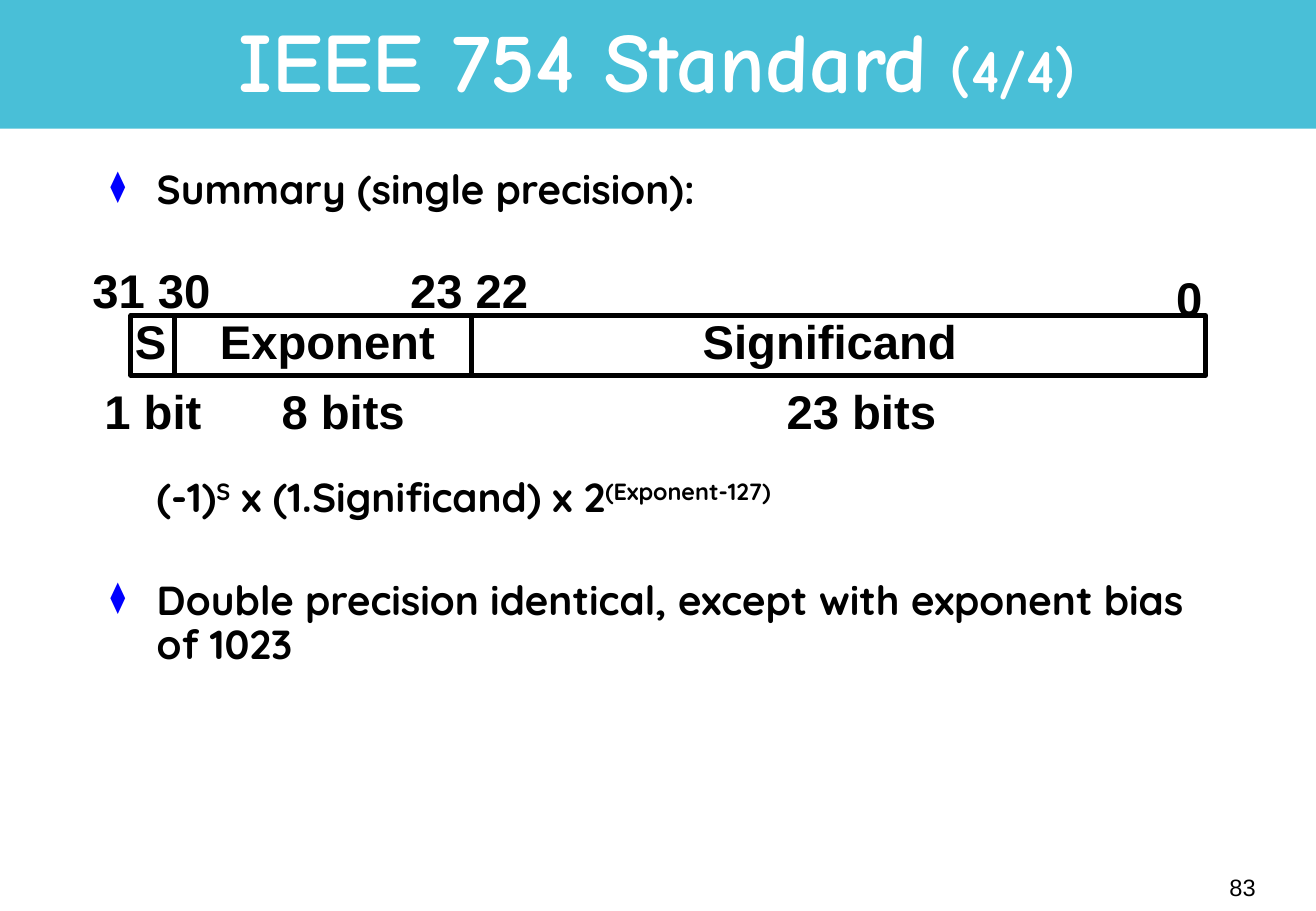
"""Builds the IEEE 754 single-precision summary slide."""
from lxml import etree
from pptx import Presentation
from pptx.dml.color import RGBColor
from pptx.enum.shapes import MSO_CONNECTOR, MSO_SHAPE
from pptx.enum.text import MSO_ANCHOR, PP_ALIGN
from pptx.oxml.ns import qn
from pptx.util import Cm, Pt

RECTANGLE = MSO_SHAPE.RECTANGLE
STRAIGHT = MSO_CONNECTOR.STRAIGHT
TOP, MIDDLE = MSO_ANCHOR.TOP, MSO_ANCHOR.MIDDLE
LEFT, CENTER, RIGHT = PP_ALIGN.LEFT, PP_ALIGN.CENTER, PP_ALIGN.RIGHT

COLORS = {"band": "49BFD7", "ink": "000000", "title": "FFFFFF", "bullet": "0000FF"}
SLIDE_WIDTH, SLIDE_HEIGHT = 27.53, 19.05
BAND_HEIGHT = 2.69
HANGING = 0.97

TITLE, TITLE_PART = "IEEE 754 Standard", " (4/4)"
PAGE_NUMBER = "83"

# (bulleted, space before in points, [(text, raised)])
SUMMARY = [
    (True, 0, [("Summary (single precision):", False)]),
    (False, 156.5, [("(-1)", False), ("S", True),
                    (" x (1.Significand) x 2", False), ("(Exponent-127)", True)]),
    (True, 35, [("Double precision identical, except with exponent bias of 1023", False)]),
]

# top of each row, then (text, centre)
FORMAT_ROWS = [
    (5.33, [("31", 2.48), ("30", 3.85), ("23", 9.13), ("22", 10.5)]),
    (5.51, [("0", 24.88)]),
    (6.4, [("S", 3.15), ("Exponent", 6.85), ("Significand", 17.36)]),
    (7.87, [("1 bit", 3.2), ("8 bits", 7.18), ("23 bits", 18.02)]),
]
LABEL_WIDTH, LABEL_HEIGHT = 6, 1.45
WORD_LEFT, WORD_TOP, WORD_WIDTH, WORD_HEIGHT = 2.74, 6.6, 22.48, 1.25
FIELD_DIVIDERS = [3.66, 9.86]


def color(name):
    return RGBColor.from_string(COLORS[name])


def set_font(font, name, size, ink="ink", bold=True):
    font.name, font.size, font.bold = name, Pt(size), bold
    font.color.rgb = color(ink)


def add_frame(slide, left, top, width, height, anchor=TOP, wrap=True):
    frame = slide.shapes.add_textbox(Cm(left), Cm(top), Cm(width), Cm(height)).text_frame
    frame.word_wrap = wrap
    frame.vertical_anchor = anchor
    return frame


def add_label(slide, text, box, align, size, bold, anchor=TOP):
    label = add_frame(slide, *box, anchor=anchor, wrap=False).paragraphs[0]
    label.text = text
    label.alignment = align
    set_font(label.font, "Arial", size, bold=bold)


def add_rectangle(slide, left, top, width, height):
    rectangle = slide.shapes.add_shape(RECTANGLE, Cm(left), Cm(top), Cm(width), Cm(height))
    rectangle.shadow.inherit = False
    return rectangle


def set_bullet(paragraph, bulleted):
    properties = paragraph._p.get_or_add_pPr()
    properties.set("marL", str(Cm(HANGING)))
    properties.set("indent", str(-Cm(HANGING) if bulleted else 0))
    if not bulleted:
        etree.SubElement(properties, qn("a:buNone"))
        return
    tint = etree.SubElement(properties, qn("a:buClr"))
    etree.SubElement(tint, qn("a:srgbClr"), val=COLORS["bullet"])
    etree.SubElement(properties, qn("a:buSzPct"), val="75000")
    etree.SubElement(properties, qn("a:buChar"), char="⧫")


def add_title(slide):
    band = add_rectangle(slide, 0, 0, SLIDE_WIDTH, BAND_HEIGHT)
    band.fill.solid()
    band.fill.fore_color.rgb = color("band")
    band.line.fill.background()
    title = add_frame(slide, 2.06, 0.13, 23.39, 2.51, anchor=MIDDLE).paragraphs[0]
    title.alignment = CENTER
    title.line_spacing = 0.85
    for text, size in ((TITLE, 50), (TITLE_PART, 36)):
        run = title.add_run()
        run.text = text
        set_font(run.font, "Comic Neue", size, "title")


def add_summary(slide):
    frame = add_frame(slide, 2.06, 3.43, 23.39, 14.12)
    for index, (bulleted, space, pieces) in enumerate(SUMMARY):
        paragraph = frame.add_paragraph() if index else frame.paragraphs[0]
        set_bullet(paragraph, bulleted)
        paragraph.alignment = LEFT
        paragraph.line_spacing = 0.9
        paragraph.space_before = Pt(space)
        set_font(paragraph.font, "Quicksand", 24)
        for text, raised in pieces:
            run = paragraph.add_run()
            run.text = text
            if raised:
                run._r.get_or_add_rPr().set("baseline", "30000")


def add_word_format(slide):
    word = add_rectangle(slide, WORD_LEFT, WORD_TOP, WORD_WIDTH, WORD_HEIGHT)
    word.fill.background()
    dividers = [
        slide.shapes.add_connector(STRAIGHT, Cm(x), Cm(WORD_TOP), Cm(x), Cm(WORD_TOP + WORD_HEIGHT))
        for x in FIELD_DIVIDERS
    ]
    for divider in dividers:
        etree.SubElement(divider._element.spPr, qn("a:effectLst"))
    for outline in [word, *dividers]:
        outline.line.color.rgb = color("ink")
        outline.line.width = Pt(3)
    for top, labels in FORMAT_ROWS:
        for text, centre in labels:
            box = (centre - LABEL_WIDTH / 2, top, LABEL_WIDTH, LABEL_HEIGHT)
            add_label(slide, text, box, CENTER, 28, True)


def main():
    deck = Presentation()
    deck.slide_width, deck.slide_height = Cm(SLIDE_WIDTH), Cm(SLIDE_HEIGHT)
    slide = deck.slides.add_slide(deck.slide_layouts[6])
    add_title(slide)
    add_word_format(slide)
    add_summary(slide)
    add_label(slide, PAGE_NUMBER, (20.78, 17.91, 5.74, 1.27), RIGHT, 14, False, MIDDLE)
    deck.save("out.pptx")


if __name__ == "__main__":
    main()
